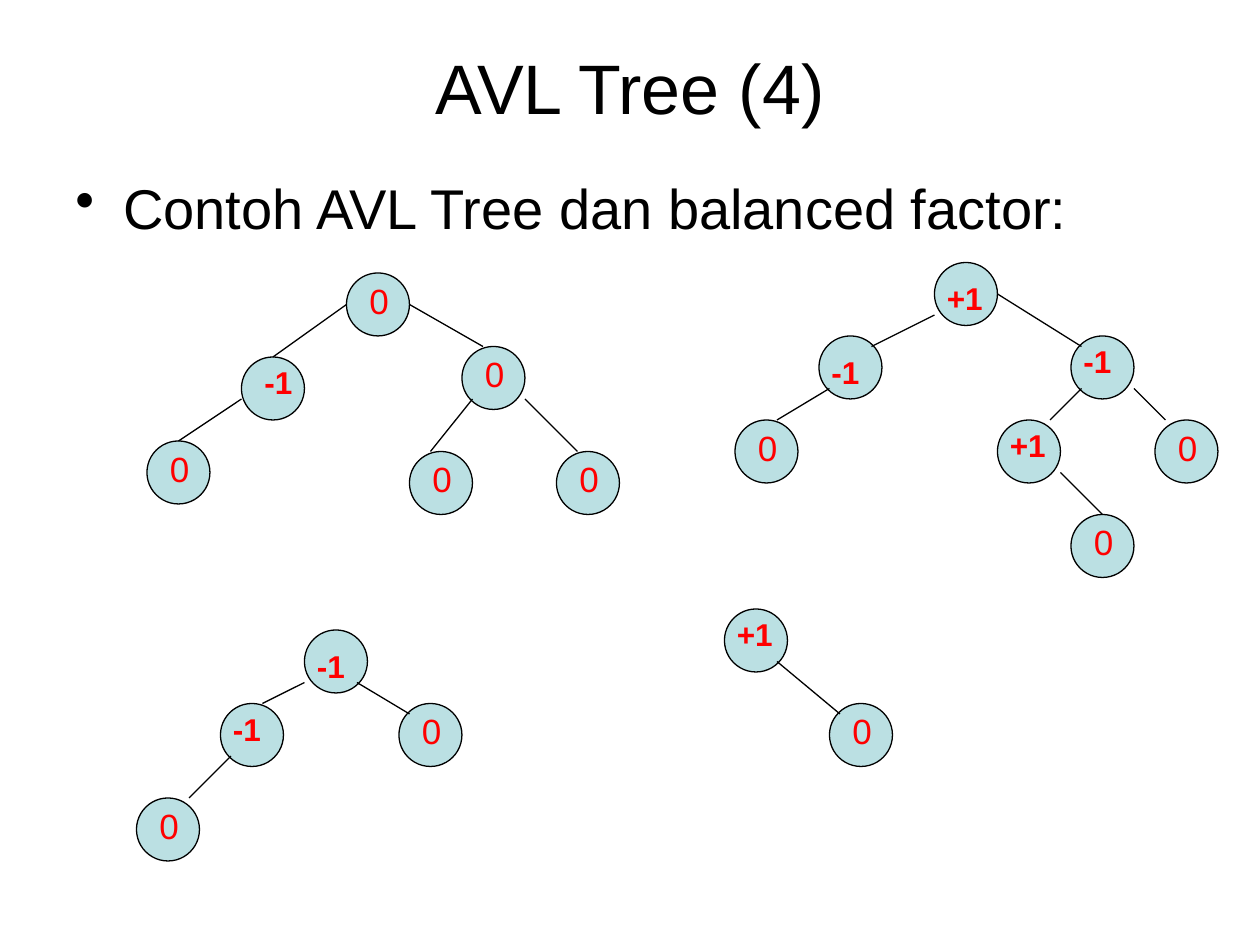
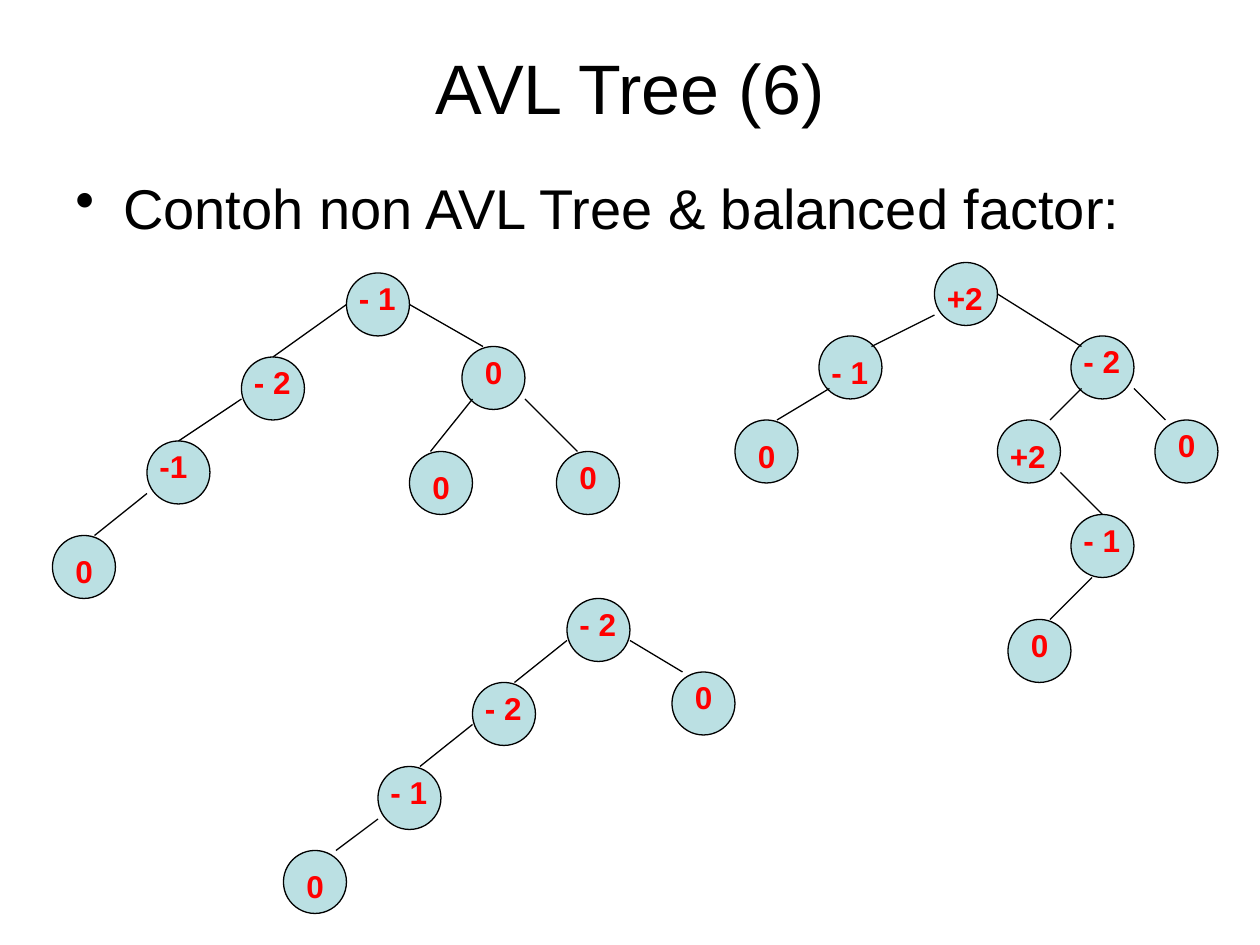
from dataclasses import dataclass
from typing import Any, Optional

import pptx
import pptx.dml.color
import pptx.enum.shapes
import pptx.enum.text
import pptx.oxml
import pptx.oxml.ns
import pptx.util

Inches = pptx.util.Inches
Pt = pptx.util.Pt
ANCHOR = pptx.enum.text.MSO_ANCHOR
ALIGN = pptx.enum.text.PP_ALIGN

# Shared style
FONT = "Arial"
BLACK, RED, NODE_FILL = "000000", "FF0000", "BBE0E3"
GRID = 12  # grid cells per inch
DIAMETER = 0.5
LINE_WIDTH = 0.75
TITLE_FONT = {"name": FONT, "size": Pt(40), "bold": False}
BODY_FONT = {"name": FONT, "size": Pt(32)}
FACTOR_FONT = {"name": FONT, "size": Pt(18), "bold": True}
PLAIN_ZERO_FONT = {"name": FONT, "size": Pt(20), "bold": False}
FACTOR_WIDTHS = {"0": 0.48, "-1": 0.5, "+1": 0.5,
                 "- 1": 0.58, "- 2": 0.67, "+2": 0.67}


@dataclass(frozen=True)
class Node:
    """Top left corner of a node and its edge from the parent, in grid cells."""
    x: int
    y: int
    edge: Optional[tuple[int, int, int, int]] = None


@dataclass(frozen=True)
class Factor:
    """A balance factor and its shift from the node's corner, in grid cells."""
    text: str
    right: int = 0
    down: int = 0


@dataclass(frozen=True)
class Tree:
    nodes: list[Node]
    factors: list[Factor]


@dataclass(frozen=True)
class TreeSlide:
    title: str
    heading: str
    zero_font: dict[str, Any]
    zero_size: tuple[float, float]
    trees: list[Tree]


# Tree outlines
LEFT = [
    Node(33, 26),
    Node(23, 34, (33, 29, 26, 34)),
    Node(44, 33, (39, 29, 46, 33)),
    Node(14, 42, (23, 38, 17, 42)),
    Node(39, 43, (45, 38, 41, 43)),
    Node(53, 43, (50, 38, 55, 43)),
]
RIGHT = [
    Node(89, 25),
    Node(78, 32, (89, 30, 83, 33)),
    Node(102, 32, (95, 28, 103, 33)),
    Node(70, 40, (79, 37, 74, 40)),
    Node(95, 40, (103, 37, 100, 40)),
    Node(110, 40, (108, 37, 111, 40)),
    Node(102, 49, (101, 45, 105, 49)),
]
LOWER_LEFT = [
    Node(29, 60),
    Node(21, 67, (29, 65, 25, 67)),
    Node(38, 67, (34, 65, 39, 68)),
    Node(13, 76, (22, 72, 18, 76)),
]
LOWER_RIGHT = [Node(69, 58), Node(79, 67, (74, 63, 80, 68))]
LEFT_DEEPER = LEFT + [Node(5, 51, (14, 47, 9, 51))]
RIGHT_DEEPER = RIGHT + [Node(96, 59, (104, 55, 100, 59))]
LOWER_MIDDLE = [
    Node(54, 57),
    Node(45, 65, (54, 61, 49, 65)),
    Node(64, 64, (60, 61, 65, 64)),
    Node(36, 73, (45, 69, 40, 73)),
    Node(27, 81, (36, 78, 32, 81)),
]

# Slide contents
ZERO, LOW_ZERO = Factor("0", 1), Factor("0", 1, 1)
SLIDES = [
    TreeSlide(
        "AVL Tree (4)", "Contoh AVL Tree dan balanced factor:",
        PLAIN_ZERO_FONT, (0.36, 0.43),
        [
            Tree(LEFT, [ZERO, Factor("-1", 1), ZERO, ZERO, ZERO, ZERO]),
            Tree(RIGHT, [Factor("+1", 0, 1), Factor("-1", 0, 1), Factor("-1"),
                         ZERO, Factor("+1"), ZERO, ZERO]),
            Tree(LOWER_LEFT, [Factor("-1", 0, 1), Factor("-1"), ZERO, ZERO]),
            Tree(LOWER_RIGHT, [Factor("+1"), ZERO]),
        ]),
    TreeSlide(
        "AVL Tree (6)", "Contoh non AVL Tree & balanced factor:",
        FACTOR_FONT, (0.48, 0.4),
        [
            Tree(LEFT_DEEPER, [Factor("- 1"), Factor("- 2"), ZERO, Factor("-1"),
                               LOW_ZERO, ZERO, LOW_ZERO]),
            Tree(RIGHT_DEEPER, [Factor("+2", 0, 1), Factor("- 1", 0, 1),
                                Factor("- 2"), LOW_ZERO, Factor("+2", 0, 1),
                                ZERO, Factor("- 1"), ZERO]),
            Tree(LOWER_MIDDLE, [Factor("- 2"), Factor("- 2"), ZERO,
                                Factor("- 1"), LOW_ZERO]),
        ]),
]


def rgb(color: str) -> pptx.dml.color.RGBColor:
    return pptx.dml.color.RGBColor.from_string(color)


def cells(count: int) -> pptx.util.Length:
    return Inches(count / GRID)


def set_attributes(target: Any, values: dict[str, Any]) -> None:
    for name, value in values.items():
        setattr(target, name, value)


def write(tf: Any, text: str, font: dict[str, Any], color: str) -> Any:
    p = tf.paragraphs[0]
    r = p.add_run()
    r.text = text
    set_attributes(r.font, font)
    r.font.color.rgb = rgb(color)
    return p


def set_line(line: Any) -> None:
    line.color.rgb = rgb(BLACK)
    line.width = Pt(LINE_WIDTH)


def add_title(s: Any, text: str) -> None:
    title = s.shapes.title
    set_attributes(title, {"left": Inches(0.5), "top": Inches(0.3),
                           "width": Inches(9), "height": Inches(0.78)})
    title.text_frame.vertical_anchor = ANCHOR.MIDDLE
    p = write(title.text_frame, text, TITLE_FONT, BLACK)
    p.alignment = ALIGN.CENTER


def add_heading(s: Any, text: str) -> None:
    sp = s.shapes.add_textbox(Inches(0.5), Inches(1.33), Inches(9), Inches(0.64))
    sp.text_frame.word_wrap = True
    p = write(sp.text_frame, text, BODY_FONT, BLACK)
    pPr = p._p.get_or_add_pPr()
    pPr.set("marL", str(Inches(0.38)))
    pPr.set("indent", str(-Inches(0.38)))
    bullet = pptx.oxml.parse_xml(
        f'<a:buChar {pptx.oxml.ns.nsdecls("a")} char="•"/>')
    pPr.append(bullet)


def add_node(s: Any, node: Node) -> None:
    sp = s.shapes.add_shape(pptx.enum.shapes.MSO_SHAPE.OVAL, cells(node.x),
                            cells(node.y), Inches(DIAMETER), Inches(DIAMETER))
    sp.shadow.inherit = False
    sp.fill.solid()
    sp.fill.fore_color.rgb = rgb(NODE_FILL)
    set_line(sp.line)


def add_edge(s: Any, edge: tuple[int, int, int, int]) -> None:
    line = s.shapes.add_connector(pptx.enum.shapes.MSO_CONNECTOR.STRAIGHT,
                                  *map(cells, edge))
    set_line(line.line)
    line._element.spPr.append(pptx.oxml.parse_xml(
        f'<a:effectLst {pptx.oxml.ns.nsdecls("a")}/>'))


def add_factor(s: Any, node: Node, factor: Factor, content: TreeSlide) -> None:
    if factor.text == "0":
        font, (width, height) = content.zero_font, content.zero_size
    else:
        font, width, height = FACTOR_FONT, FACTOR_WIDTHS[factor.text], 0.4
    sp = s.shapes.add_textbox(cells(node.x + factor.right),
                              cells(node.y + factor.down),
                              Inches(width), Inches(height))
    sp.text_frame.word_wrap = True
    write(sp.text_frame, factor.text, font, RED)


def add_tree(s: Any, tree: Tree, content: TreeSlide) -> None:
    for node in tree.nodes:
        add_node(s, node)
    for node in tree.nodes:
        if node.edge:
            add_edge(s, node.edge)
    for node, factor in zip(tree.nodes, tree.factors):
        add_factor(s, node, factor, content)


def main() -> None:
    prs = pptx.Presentation()
    prs.slide_width, prs.slide_height = Inches(10), Inches(7.5)
    for content in SLIDES:
        s = prs.slides.add_slide(prs.slide_layouts[5])
        add_title(s, content.title)
        add_heading(s, content.heading)
        for tree in content.trees:
            add_tree(s, tree, content)
    prs.save("out.pptx")


if __name__ == "__main__":
    main()
